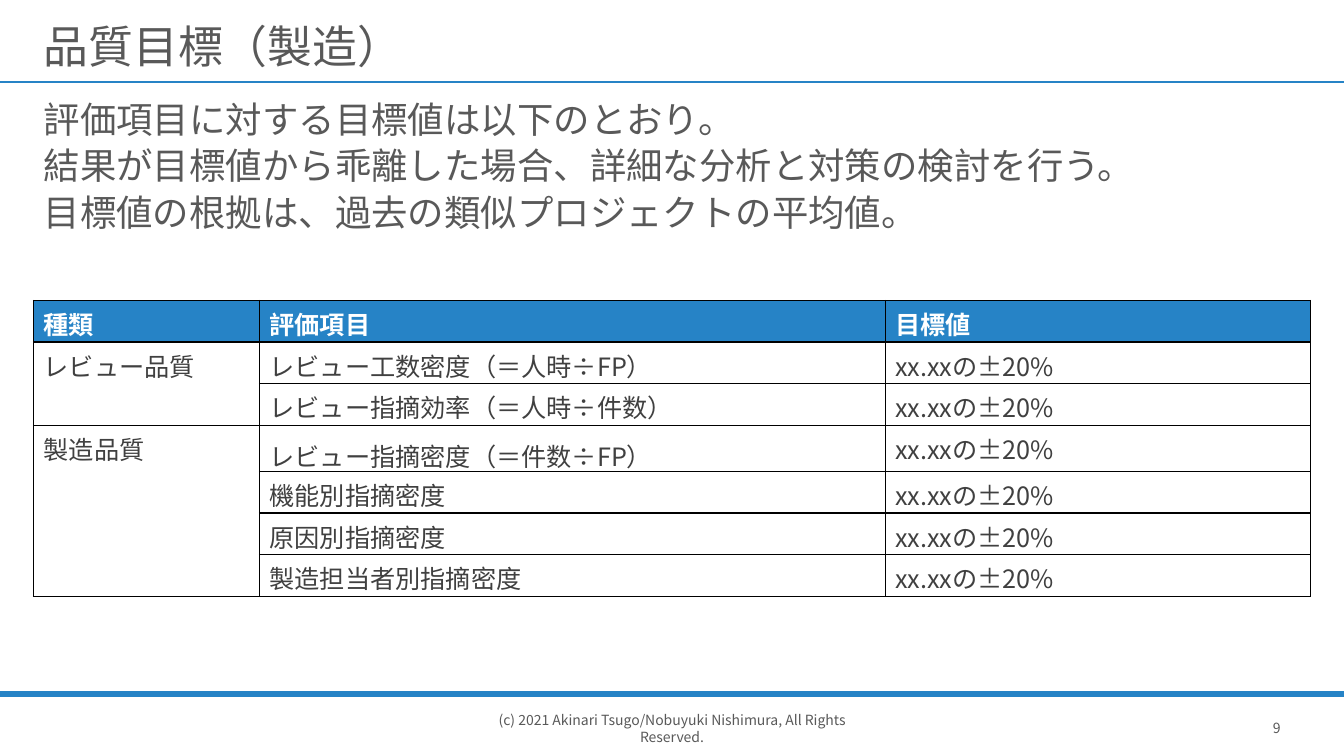
"""Build the slide on quality targets for the manufacturing phase."""
from dataclasses import dataclass

from lxml import etree
from pptx import Presentation
from pptx import util as u
from pptx.dml import color
from pptx.enum import shapes, text
from pptx.oxml import ns

FONT = "Noto Sans CJK JP"
BLUE, GREY, DARK, WHITE, BLACK = "2683C6", "595959", "404040", "FFFFFF", "000000"
WIDTH, HEIGHT = u.Inches(13.33), u.Inches(7.5)
GRID_COLUMNS, GRID_ROWS = 40, 60
TARGET = "xx.xxの±20%"


@dataclass(frozen=True)
class Area:
    """A rectangle in grid columns and rows."""
    column: float
    row: float
    columns: float
    rows: float


@dataclass(frozen=True)
class Rule:
    """A full-width line at a grid row."""
    row: float
    points: float


@dataclass(frozen=True)
class Footer:
    """A small centred text at the foot of the slide."""
    words: str
    area: Area


@dataclass(frozen=True)
class Category:
    """A kind of quality with its evaluation items."""
    kind: str
    items: tuple[str, ...]


RULES = (Rule(6.5, 1), Rule(55.1, 4.5))
FOOTERS = (
    Footer("9", Area(37, 55.6, 2, 4.4)),
    Footer("(c) 2021 Akinari Tsugo/Nobuyuki Nishimura, All Rights Reserved.",
           Area(13.86, 55.6, 12.28, 4.4)),
)
TITLE_AREA = Area(1, 0.5, 38, 5.5)
POLICY_AREA = Area(1, 8, 38, 5.85)
POLICY = (
    "評価項目に対する目標値は以下のとおり。",
    "結果が目標値から乖離した場合、詳細な分析と対策の検討を行う。",
    "目標値の根拠は、過去の類似プロジェクトの平均値。",
)
HEADINGS = ("種類", "評価項目", "目標値")
CATEGORIES = (
    Category("レビュー品質", ("レビュー工数密度（＝人時÷FP）", "レビュー指摘効率（＝人時÷件数）")),
    Category("製造品質", ("レビュー指摘密度（＝件数÷FP）", "機能別指摘密度",
                      "原因別指摘密度", "製造担当者別指摘密度")),
)
LOOSE_ITEM = CATEGORIES[1].items[0]
TABLE_COLUMNS = (6.72, 18.63, 12.65)
TABLE_ROW = 3.3


def across(columns: float) -> int:
    """Turn grid columns into a length."""
    return round(WIDTH * columns / GRID_COLUMNS)


def down(rows: float) -> int:
    """Turn grid rows into a length."""
    return round(HEIGHT * rows / GRID_ROWS)


def bounds(area: Area) -> tuple[int, int, int, int]:
    """Return left, top, width and height of an area."""
    return across(area.column), down(area.row), across(area.columns), down(area.rows)


def rgb(code: str) -> color.RGBColor:
    """Return the colour of a hex string."""
    return color.RGBColor.from_string(code)


def write(frame, *lines: str, size: float, colour: str, bold: bool = False,
          align=text.PP_ALIGN.LEFT, spacing: float = 1.0, before: float = 0) -> None:
    """Fill a text frame with one formatted paragraph per line."""
    for index, line in enumerate(lines):
        paragraph = frame.paragraphs[0] if index == 0 else frame.add_paragraph()
        paragraph.alignment, paragraph.line_spacing = align, spacing
        paragraph.space_before = u.Pt(before)
        run = paragraph.add_run()
        run.text = line
        run.font.name, run.font.size, run.font.bold = FONT, u.Pt(size), bold
        run.font.color.rgb = rgb(colour)
        east_asian = etree.Element(ns.qn("a:ea"), typeface=FONT)
        run.font._element.find(ns.qn("a:latin")).addnext(east_asian)


def place(placeholder, area: Area, anchor) -> None:
    """Move a placeholder and set how its text sits."""
    placeholder.left, placeholder.top, placeholder.width, placeholder.height = bounds(area)
    frame = placeholder.text_frame
    frame.auto_size, frame.word_wrap = text.MSO_AUTO_SIZE.NONE, True
    frame.vertical_anchor = anchor


def remove_bullets(frame) -> None:
    """Clear the bullets and indents of all paragraphs."""
    for paragraph in frame.paragraphs:
        properties = paragraph._p.get_or_add_pPr()
        properties.set("marL", "0")
        properties.set("indent", "0")
        etree.SubElement(properties, ns.qn("a:buNone"))


def draw_rule(slide, rule: Rule) -> None:
    """Draw a line across the slide."""
    y = down(rule.row)
    line = slide.shapes.add_connector(shapes.MSO_CONNECTOR.STRAIGHT, 0, y, WIDTH, y)
    line.line.color.rgb, line.line.width = rgb(BLUE), u.Pt(rule.points)
    etree.SubElement(line._element.spPr, ns.qn("a:effectLst"))


def draw_footer(slide, footer: Footer) -> None:
    """Draw a footer text."""
    frame = slide.shapes.add_textbox(*bounds(footer.area)).text_frame
    frame.vertical_anchor = text.MSO_ANCHOR.MIDDLE
    frame.word_wrap = False
    write(frame, footer.words, size=10, colour=GREY, align=text.PP_ALIGN.CENTER)


def style_cell(cell, fill: str) -> None:
    """Fill a cell and give it thin black borders."""
    cell.fill.solid()
    cell.fill.fore_color.rgb = rgb(fill)
    properties = cell._tc.get_or_add_tcPr()
    for index, side in enumerate(("lnL", "lnR", "lnT", "lnB")):
        border = etree.Element(ns.qn(f"a:{side}"), w=str(u.Pt(1)))
        paint = etree.SubElement(border, ns.qn("a:solidFill"))
        etree.SubElement(paint, ns.qn("a:srgbClr"), val=BLACK)
        properties.insert(index, border)


def draw_targets(slide) -> None:
    """Draw the table of evaluation items and target values."""
    row_count = 1 + sum(len(category.items) for category in CATEGORIES)
    area = Area(1, 23.85, sum(TABLE_COLUMNS), TABLE_ROW * row_count)
    targets = slide.shapes.add_table(row_count, len(HEADINGS), *bounds(area)).table
    for column, columns in zip(targets.columns, TABLE_COLUMNS):
        column.width = across(columns)
    for row in range(row_count):
        for column in range(len(HEADINGS)):
            style_cell(targets.cell(row, column), WHITE if row else BLUE)
    for column, heading in enumerate(HEADINGS):
        write(targets.cell(0, column).text_frame, heading, size=18, colour=WHITE, bold=True)
    first = 1
    for category in CATEGORIES:
        kind = targets.cell(first, 0)
        kind.merge(targets.cell(first + len(category.items) - 1, 0))
        write(kind.text_frame, category.kind, size=18, colour=DARK)
        for row, item in enumerate(category.items, first):
            write(targets.cell(row, 1).text_frame, item, size=18, colour=DARK,
                  spacing=1.2 if item == LOOSE_ITEM else 1.0)
            write(targets.cell(row, 2).text_frame, TARGET, size=18, colour=DARK)
        first += len(category.items)


def main() -> None:
    """Build and save the presentation."""
    deck = Presentation()
    deck.slide_width, deck.slide_height = WIDTH, HEIGHT
    slide = deck.slides.add_slide(deck.slide_layouts[1])
    for rule in RULES:
        draw_rule(slide, rule)
    for footer in FOOTERS:
        draw_footer(slide, footer)
    title, policy = slide.shapes.title, slide.placeholders[1]
    place(title, TITLE_AREA, text.MSO_ANCHOR.MIDDLE)
    title.text_frame.margin_top = u.Inches(0.2)
    write(title.text_frame, "品質目標（製造）", size=32, colour=GREY, spacing=0.9)
    place(policy, POLICY_AREA, text.MSO_ANCHOR.TOP)
    write(policy.text_frame, *POLICY, size=26, colour=GREY, spacing=0.8, before=8)
    remove_bullets(policy.text_frame)
    draw_targets(slide)
    deck.save("out.pptx")


if __name__ == "__main__":
    main()
